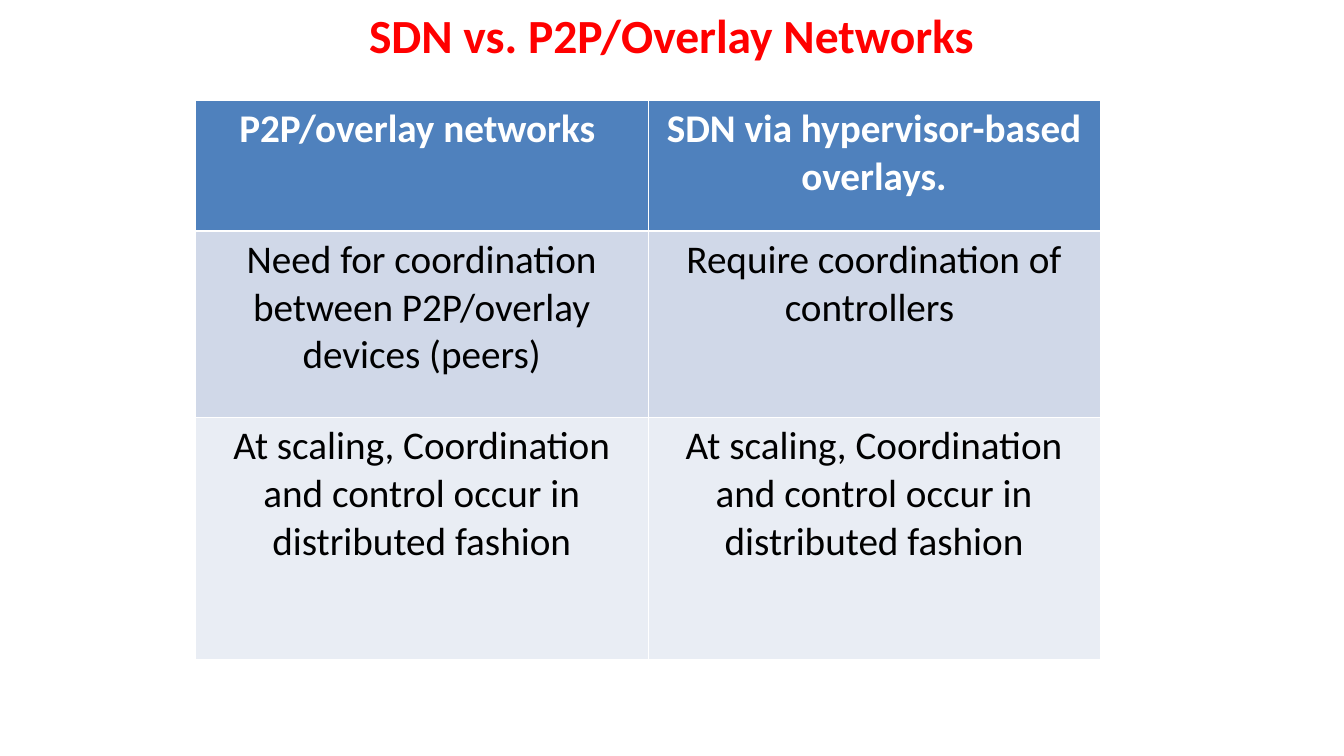
import pptx
import pptx.dml.color
import pptx.enum.text
import pptx.oxml
import pptx.oxml.ns
import pptx.util

COLORS = {
    "title": "FF0000",
    "header": "4F81BD",
    "band_dark": "D0D8E8",
    "band_light": "E9EDF4",
    "white": "FFFFFF",
    "black": "000000",
}
THIN, THICK = 0.45, 1.47

# text of both columns, row height in inches, fill, text colour, bold
ROWS = [
    (("P2P/overlay networks ", "SDN via hypervisor-based overlays."),
     1.3, "header", "white", True),
    (("Need for coordination between P2P/overlay devices (peers)",
      "Require coordination of controllers "),
     1.85, "band_dark", "black", False),
    (("At scaling, Coordination and control occur in distributed fashion",) * 2,
     2.4, "band_light", "black", False),
]


def write_text(frame, text, size, color, bold):
    para = frame.paragraphs[0]
    para.alignment = pptx.enum.text.PP_ALIGN.CENTER
    span = para.add_run()
    span.text = text
    span.font.name = "Calibri"
    span.font.size = pptx.util.Pt(size)
    span.font.bold = bold
    span.font.color.rgb = pptx.dml.color.RGBColor.from_string(COLORS[color])


def add_border(cell, side, width):
    """Draw a white line on one side (L, R, T or B) of a cell; call before filling it."""
    cell._tc.get_or_add_tcPr().append(pptx.oxml.parse_xml(
        f'<a:ln{side} {pptx.oxml.ns.nsdecls("a")} w="{pptx.util.Pt(width)}">'
        f'<a:solidFill><a:srgbClr val="{COLORS["white"]}"/></a:solidFill>'
        f'</a:ln{side}>'))


deck = pptx.Presentation()
deck.slide_width = pptx.util.Inches(13.34)
deck.slide_height = pptx.util.Inches(7.5)
page = deck.slides.add_slide(deck.slide_layouts[6])
left = pptx.util.Inches(1.94)

# Title
title = page.shapes.add_textbox(left, 0, pptx.util.Inches(9.45), pptx.util.Inches(0.69))
title.text_frame.word_wrap = True
title.text_frame.vertical_anchor = pptx.enum.text.MSO_ANCHOR.MIDDLE
write_text(title.text_frame, "SDN vs. P2P/Overlay Networks", 34, "title", True)

# Comparison table
column_width = pptx.util.Inches(4.49)
table_height = pptx.util.Inches(sum(row[1] for row in ROWS))
table = page.shapes.add_table(
    len(ROWS), 2, left, pptx.util.Inches(0.99), 2 * column_width, table_height).table
for column in table.columns:
    column.width = column_width

for row_index, (texts, height, fill, color, bold) in enumerate(ROWS):
    table.rows[row_index].height = pptx.util.Inches(height)
    for column_index, text in enumerate(texts):
        cell = table.cell(row_index, column_index)
        write_text(cell.text_frame, text, 28, color, bold)
        add_border(cell, "L", THIN)
        add_border(cell, "R", THIN)
        add_border(cell, "T", THICK if row_index == 1 else THIN)
        add_border(cell, "B", THICK if row_index == 0 else THIN)
        cell.fill.solid()
        cell.fill.fore_color.rgb = pptx.dml.color.RGBColor.from_string(COLORS[fill])

deck.save("out.pptx")
